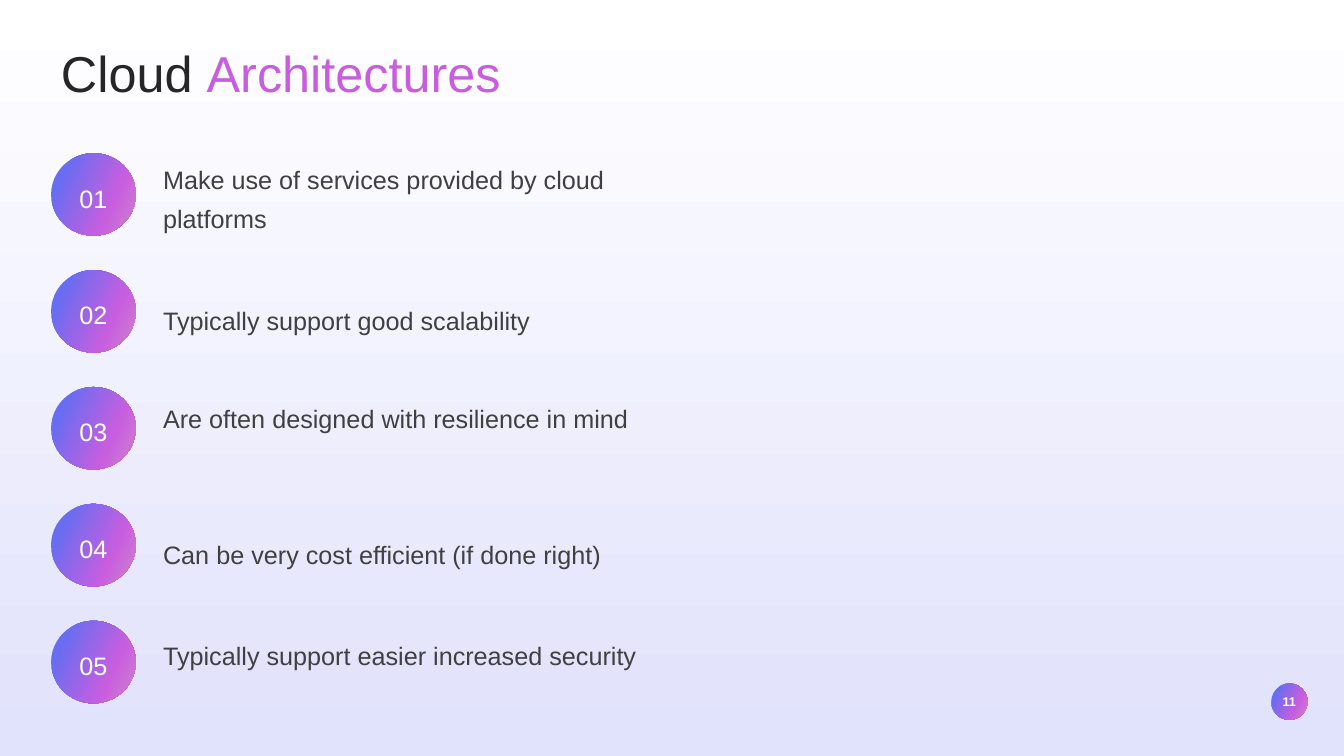
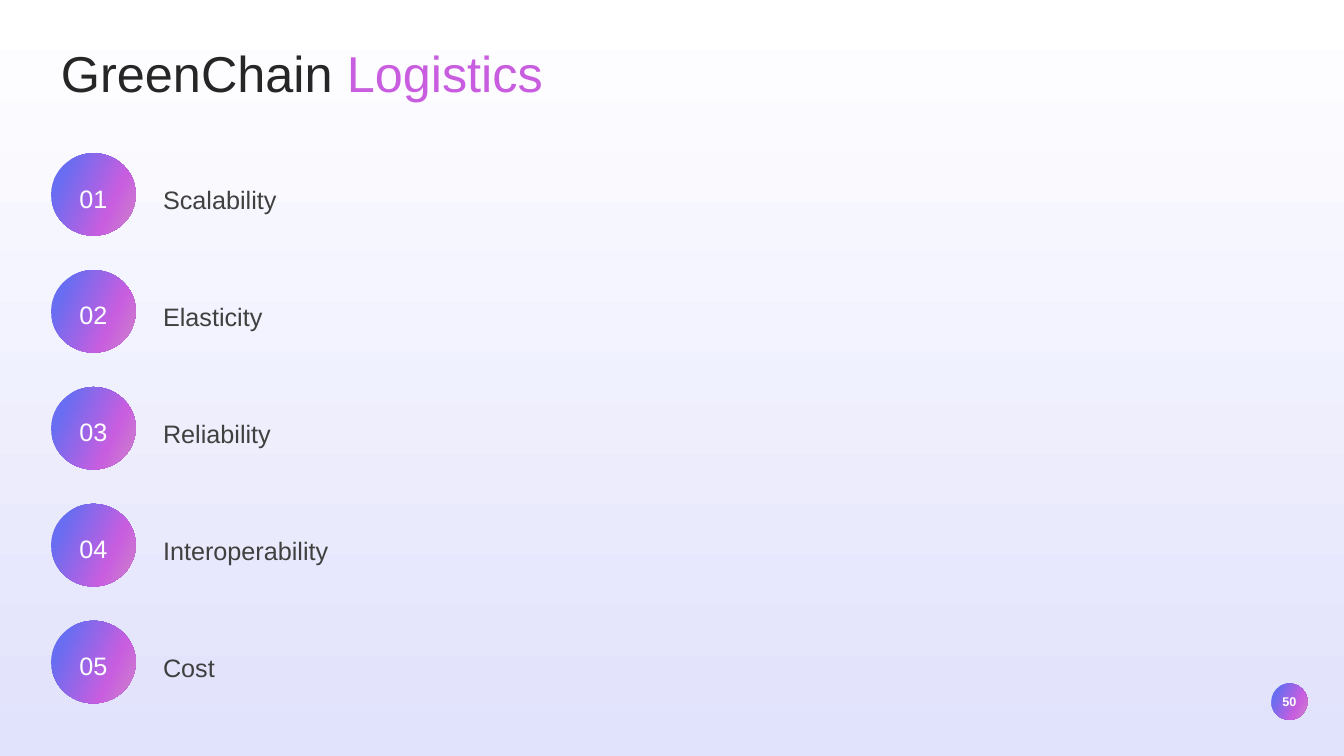
from copy import deepcopy

from pptx import Presentation
from pptx import util as u
from pptx.dml.color import RGBColor
from pptx.enum import shapes, text
from pptx.oxml.ns import qn

Pt = u.Pt
FONT = "Arial"
COLORS = {
    "white": "FFFFFF",
    "lavender": "E1E2FC",
    "title": "262626",
    "body": "404040",
    "indigo": "686DF1",
    "blue": "1921EA",
    "violet": "C85EDF",
    "pink": "CE84CA",
}

# Gradients: (position, colour name) stops and clockwise angle
BACKGROUND = ([(0, "white"), (1, "lavender")], 90)
CIRCLE = ([(0.17, "indigo"), (0.69, "violet"), (1, "pink")], 25)
ACCENT = ([(0.17, "blue"), (0.69, "violet"), (1, "pink")], 25)

# Numbered list grid
LIST_TOP, ROW_PITCH = 109.4, 83.5
CIRCLE_LEFT, CIRCLE_WIDTH, CIRCLE_HEIGHT = 36.5, 60.5, 59
ITEM_LEFT, ITEM_WIDTH = 109.4, 365.8
ONE_LINE, TWO_LINES = 33.8, 62.6
ITEM_OFFSET = 12.2

# Each item: text, offset below the top of its circle, box height
CLOUD_ITEMS = [
    ("Make use of services provided by cloud platforms", -2.2, TWO_LINES),
    ("Typically support good scalability", 15, ONE_LINE),
    ("Are often designed with resilience in mind", 1.4, TWO_LINES),
    ("Can be very cost efficient (if done right)", 15, ONE_LINE),
    ("Typically support easier increased security", 4.3, TWO_LINES),
]
QUALITY_ITEMS = [
    (quality, ITEM_OFFSET, ONE_LINE)
    for quality in ("Scalability", "Elasticity", "Reliability", "Interoperability", "Cost")
]


def set_gradient(fill, element, gradient):
    """Give a fill, held in the XML element, any number of gradient stops."""
    stops, angle = gradient
    fill.gradient()
    fill.gradient_angle = 360 - angle
    stop_list = next(element.iter(qn("a:gsLst")))
    while len(stop_list) < len(stops):
        stop_list.append(deepcopy(stop_list[-1]))
    for stop, (position, color) in zip(fill.gradient_stops, stops):
        stop.position = position
        stop.color.rgb = RGBColor.from_string(COLORS[color])


def add_run(paragraph, words, size, color=None, gradient=None, bold=False):
    run = paragraph.add_run()
    run.text = words
    run.font.name = FONT
    run.font.size = Pt(size)
    run.font.bold = bold
    if gradient:
        set_gradient(run.font.fill, run._r, gradient)
    else:
        run.font.color.rgb = RGBColor.from_string(COLORS[color])


def add_text_box(slide, left, top, width, height):
    box = slide.shapes.add_textbox(Pt(left), Pt(top), Pt(width), Pt(height))
    box.text_frame.word_wrap = True
    box.text_frame.auto_size = text.MSO_AUTO_SIZE.SHAPE_TO_FIT_TEXT
    return box.text_frame


def add_circle(slide, left, top, width, height):
    circle = slide.shapes.add_shape(
        shapes.MSO_SHAPE.OVAL, Pt(left), Pt(top), Pt(width), Pt(height))
    circle.shadow.inherit = False
    circle.line.fill.background()
    set_gradient(circle.fill, circle._element.spPr, CIRCLE)
    return circle.text_frame


def add_title(slide, plain, accent):
    paragraph = add_text_box(slide, 36.5, 26.6, 449.3, 51.1).paragraphs[0]
    add_run(paragraph, plain + " ", 36, "title")
    add_run(paragraph, accent, 36, gradient=ACCENT)


def add_page_badge(slide, number):
    add_circle(slide, 908, 488.2, 26, 26)
    frame = add_text_box(slide, 904.3, 491.8, 33.4, 18)
    frame.vertical_anchor = text.MSO_ANCHOR.MIDDLE
    paragraph = frame.paragraphs[0]
    paragraph.alignment = text.PP_ALIGN.CENTER
    add_run(paragraph, str(number), 9, "white", bold=True)


def add_item(slide, words, top, height):
    paragraph = add_text_box(slide, ITEM_LEFT, top, ITEM_WIDTH, height).paragraphs[0]
    paragraph.line_spacing = 1.3
    paragraph.space_after = Pt(8)
    add_run(paragraph, words, 18, "body")


def add_number(slide, number, top):
    frame = add_circle(slide, CIRCLE_LEFT, top, CIRCLE_WIDTH, CIRCLE_HEIGHT)
    frame.margin_left = frame.margin_right = 0
    frame.margin_top, frame.margin_bottom = Pt(8.6), Pt(3.6)
    frame.vertical_anchor = text.MSO_ANCHOR.MIDDLE
    paragraph = frame.paragraphs[0]
    paragraph.alignment = text.PP_ALIGN.CENTER
    add_run(paragraph, f"{number:02}", 18, "white")


def add_list_slide(presentation, page, plain, accent, items):
    slide = presentation.slides.add_slide(presentation.slide_layouts[6])
    add_page_badge(slide, page)
    add_title(slide, plain, accent)
    for row, (words, offset, height) in enumerate(items):
        top = LIST_TOP + row * ROW_PITCH
        add_item(slide, words, top + offset, height)
        add_number(slide, row + 1, top)


def main():
    presentation = Presentation()
    presentation.slide_width, presentation.slide_height = Pt(960), Pt(540)

    # Shared background
    master = presentation.slide_master
    set_gradient(master.background.fill, master._element, BACKGROUND)

    # Slides
    add_list_slide(presentation, 11, "Cloud", "Architectures", CLOUD_ITEMS)
    add_list_slide(presentation, 50, "GreenChain", "Logistics", QUALITY_ITEMS)
    presentation.save("out.pptx")


if __name__ == "__main__":
    main()
